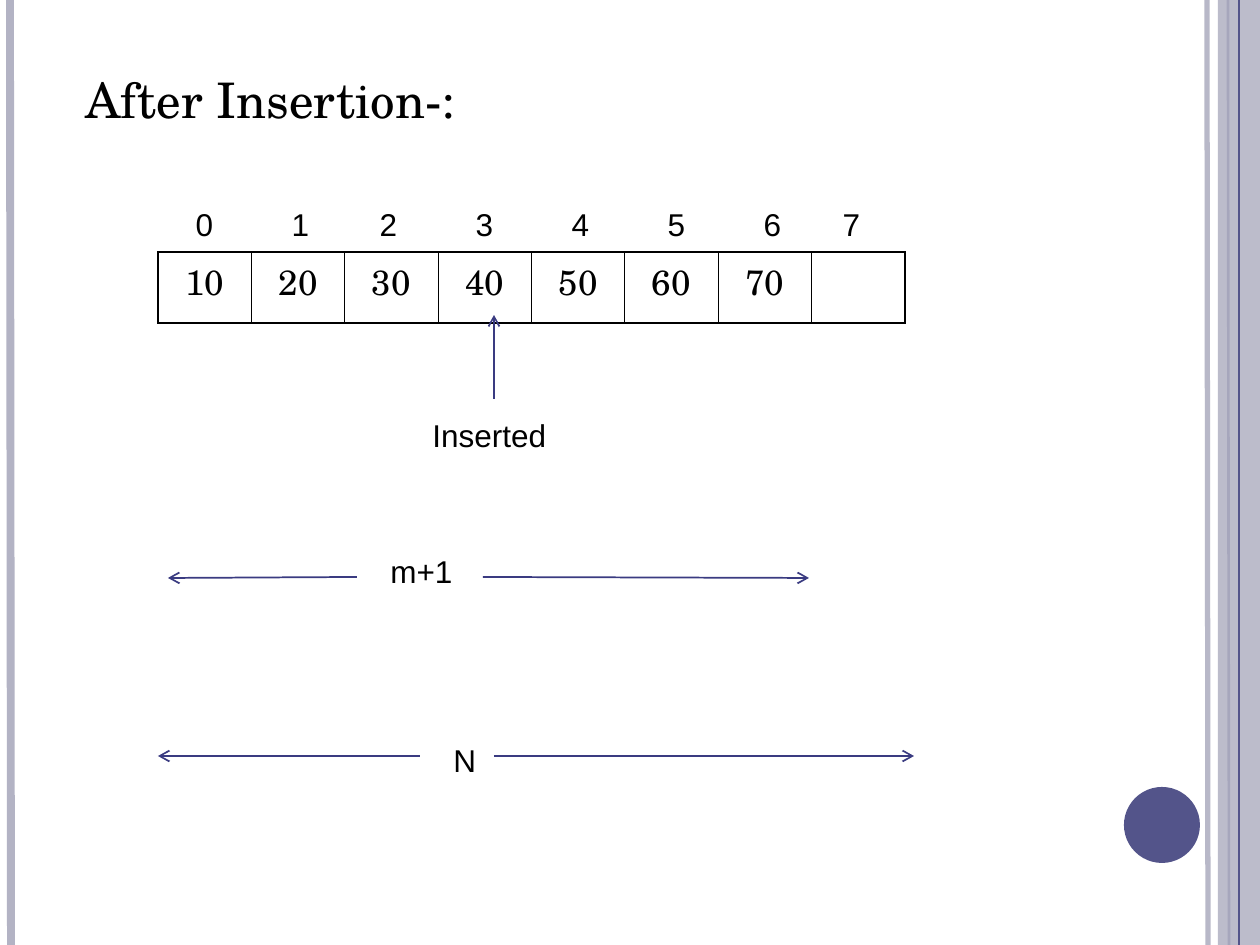
"""Build a slide showing an array after one element has been inserted."""
from typing import NamedTuple, Optional

from lxml import etree
from pptx import Presentation
from pptx import util as u
from pptx.dml.color import RGBColor
from pptx.enum import shapes, text
from pptx.oxml import ns

PIXELS_PER_INCH = 126
SERIF = "TeX Gyre Schola"
SANS = "Arial"
BLACK = "000000"
INDIGO = "53548A"
LAVENDER = "B3B3C4"
ARROW = "3A3B81"


class Line(NamedTuple):
    """A straight line between two points in px."""

    x1: int
    y1: int
    x2: int
    y2: int
    color: str = ARROW
    points: float = 1
    opacity: int = 100
    arrow: bool = True


class Solid(NamedTuple):
    """A filled preset shape without an outline."""

    kind: shapes.MSO_SHAPE
    x: int
    y: int
    width: int
    height: int
    color: str
    opacity: int = 100


class Label(NamedTuple):
    """A text box with its content and font."""

    content: str
    x: int
    y: int
    width: int
    height: int
    size: int = 18
    font: str = SANS
    tabs: tuple[int, ...] = ()


RAILS = (
    Line(1207, 0, 1208, 945, LAVENDER, 3, 93, False),
    Line(10, 0, 11, 945, LAVENDER, 4.5, 100, False),
    Line(1228, 0, 1229, 945, INDIGO, 1.5, 100, False),
)
SIDE_BAND = Solid(shapes.MSO_SHAPE.RECTANGLE, 1218, 0, 42, 945, LAVENDER, 87)
BAND_RAIL = Line(1239, 0, 1239, 945, LAVENDER, 0.75, 100, False)
DOT = Solid(shapes.MSO_SHAPE.OVAL, 1124, 787, 76, 76, INDIGO)
LABELS = (
    Label("After Insertion-:", 73, 63, 1092, 72, 28, SERIF),
    Label("\t0\t1\t2\t3\t4\t5\t6\t7", 158, 199, 725, 50,
          tabs=(34, 130, 218, 314, 410, 506, 602, 681)),
    Label("Inserted", 420, 410, 221, 50),
    Label("m+1", 378, 546, 95, 50),
    Label("N", 441, 735, 105, 50),
)
ARROWS = (
    Line(494, 399, 494, 315),
    Line(357, 577, 168, 578),
    Line(483, 577, 809, 578),
    Line(420, 756, 158, 756),
    Line(494, 756, 914, 756),
)
VALUES = ("10", "20", "30", "40", "50", "60", "70", "")


def px(length: int) -> u.Emu:
    """Turn px into EMU."""
    return u.Emu(round(length * u.Inches(1) / PIXELS_PER_INCH))


def paint(fill, color: str, opacity: int = 100) -> None:
    """Give a fill a solid colour and an opacity in percent."""
    fill.solid()
    fill.fore_color.rgb = RGBColor.from_string(color)
    if opacity < 100:
        color_element = fill._xPr.find(".//" + ns.qn("a:srgbClr"))
        etree.SubElement(color_element, ns.qn("a:alpha"), val=str(opacity * 1000))


def draw_line(slide, line: Line) -> None:
    """Draw a line, with an open arrowhead at its end if asked."""
    ends = map(px, (line.x1, line.y1, line.x2, line.y2))
    connector = slide.shapes.add_connector(shapes.MSO_CONNECTOR.STRAIGHT, *ends)
    connector.line.width = u.Pt(line.points)
    paint(connector.line.fill, line.color, line.opacity)
    if line.arrow:
        outline = connector.line._get_or_add_ln()
        etree.SubElement(outline, ns.qn("a:tailEnd"), type="arrow")
    etree.SubElement(connector._element.spPr, ns.qn("a:effectLst"))


def draw_solid(slide, solid: Solid) -> None:
    """Draw a filled shape."""
    box = map(px, (solid.x, solid.y, solid.width, solid.height))
    shape = slide.shapes.add_shape(solid.kind, *box)
    shape.shadow.inherit = False
    shape.line.fill.background()
    paint(shape.fill, solid.color, solid.opacity)


def write(frame, content: str, *, size: int, font: str, color: str = BLACK,
          align: Optional[text.PP_ALIGN] = None, spacing: Optional[float] = None,
          tabs: tuple[int, ...] = ()) -> None:
    """Write one formatted paragraph, with centred tab stops if given."""
    paragraph = frame.paragraphs[0]
    paragraph.alignment = align
    paragraph.line_spacing = spacing
    if tabs:
        tab_list = etree.SubElement(paragraph._p.get_or_add_pPr(), ns.qn("a:tabLst"))
        for position in tabs:
            etree.SubElement(tab_list, ns.qn("a:tab"), pos=str(px(position)), algn="ctr")
    run = paragraph.add_run()
    run.text = content
    run.font.size = u.Pt(size)
    run.font.name = font
    run.font.color.rgb = RGBColor.from_string(color)


def draw_label(slide, label: Label) -> None:
    """Draw a text box."""
    box = map(px, (label.x, label.y, label.width, label.height))
    frame = slide.shapes.add_textbox(*box).text_frame
    frame.word_wrap = True
    write(frame, label.content, size=label.size, font=label.font, tabs=label.tabs)


def add_border(cell, side: str, points: float) -> None:
    """Add a black border to one side of a cell."""
    properties = cell._tc.get_or_add_tcPr()
    border = etree.SubElement(properties, ns.qn(f"a:ln{side}"), w=str(u.Pt(points)))
    fill = etree.SubElement(border, ns.qn("a:solidFill"))
    etree.SubElement(fill, ns.qn("a:srgbClr"), val=BLACK)


def draw_array(slide, values: tuple[str, ...]) -> None:
    """Draw the array as a table of one row."""
    box = map(px, (158, 252, 747, 71))
    table = slide.shapes.add_table(1, len(values), *box).table
    table.first_row = table.horz_banding = False
    last = len(values) - 1
    for index, value in enumerate(values):
        cell = table.cell(0, index)
        cell.margin_top = px(10)
        add_border(cell, "L", 1.08 if index == 0 else 0.45)
        add_border(cell, "R", 1.08 if index == last else 0.45)
        add_border(cell, "T", 1.08)
        add_border(cell, "B", 1.08)
        cell.fill.background()
        if value:
            write(cell.text_frame, value, size=20, font=SERIF,
                  align=text.PP_ALIGN.CENTER, spacing=0.82)


def main() -> None:
    """Build and save the presentation."""
    presentation = Presentation()
    presentation.slide_width, presentation.slide_height = px(1260), px(945)
    slide = presentation.slides.add_slide(presentation.slide_layouts[6])
    for rail in RAILS:
        draw_line(slide, rail)
    draw_solid(slide, SIDE_BAND)
    draw_line(slide, BAND_RAIL._replace(color=INDIGO))
    draw_solid(slide, DOT)
    draw_array(slide, VALUES)
    for label in LABELS:
        draw_label(slide, label)
    for arrow in ARROWS:
        draw_line(slide, arrow)
    presentation.save("out.pptx")


if __name__ == "__main__":
    main()
